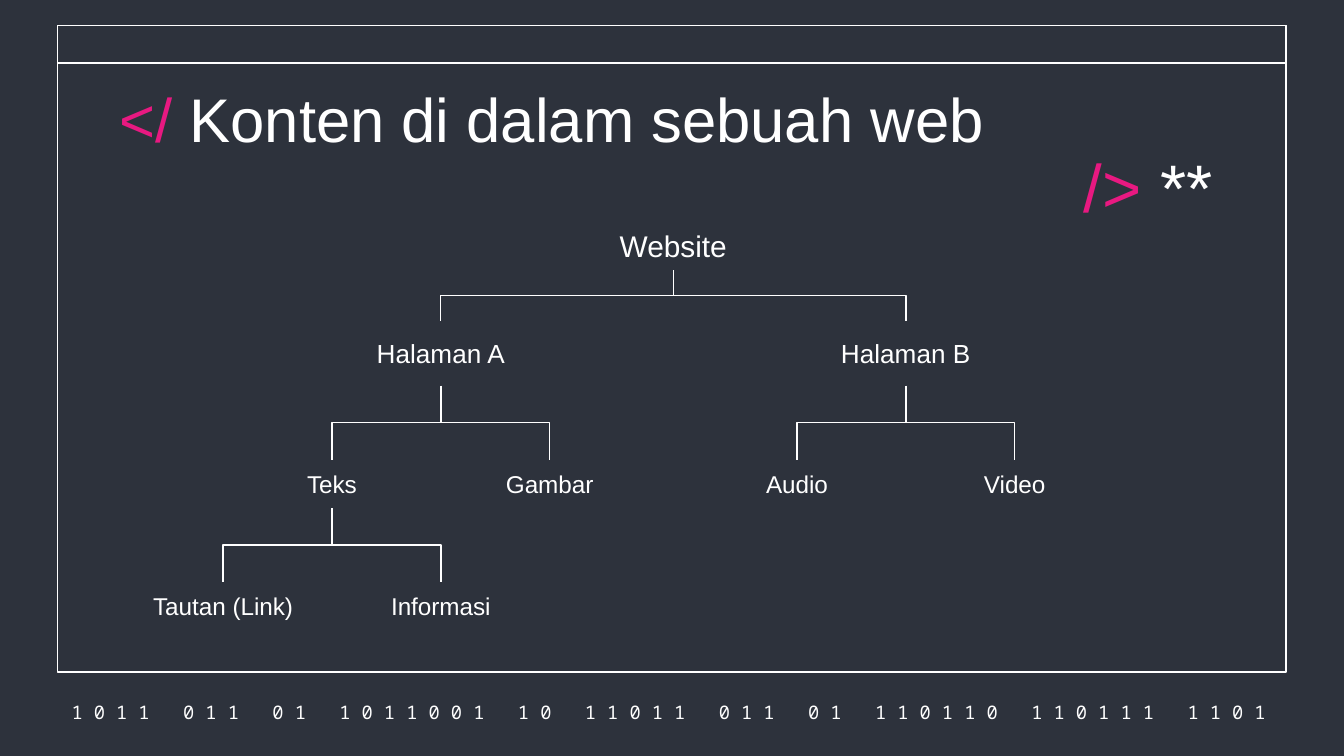
from dataclasses import dataclass

from lxml import etree
from pptx import Presentation
from pptx.dml.color import RGBColor
from pptx.enum.shapes import MSO_CONNECTOR, MSO_SHAPE
from pptx.enum.text import MSO_ANCHOR, PP_ALIGN
from pptx.oxml.ns import qn
from pptx.util import Inches, Pt

ELBOW = MSO_CONNECTOR.ELBOW
RECT = MSO_SHAPE.RECTANGLE
ROUND = MSO_SHAPE.ROUNDED_RECTANGLE
TOP, MIDDLE = MSO_ANCHOR.TOP, MSO_ANCHOR.MIDDLE
LEFT, CENTER = PP_ALIGN.LEFT, PP_ALIGN.CENTER


@dataclass(frozen=True)
class Theme:
    back: RGBColor = RGBColor(0x2D, 0x32, 0x3C)
    white: RGBColor = RGBColor(0xFF, 0xFF, 0xFF)
    pink: RGBColor = RGBColor(0xE8, 0x19, 0x81)
    font: str = "Arial"
    mono: str = "Noto Sans Mono"
    title: int = 33
    close: int = 36
    code: int = 10
    nodes: tuple = (16, 14, 13, 13)
    line: float = 0.75


THEME = Theme()

LEVELS = (
    (0, 1.06, 0.36, 0),
    (0.74, 2.56, 0.48, 1.73),
    (1.77, 1.47, 0.36, 0.81),
    (2.68, 1.47, 0.36, 0.81),
)

TREE = ("Website", (
    ("Halaman A", (
        ("Teks", (("Tautan (Link)", ()), ("Informasi", ()))),
        ("Gambar", ()),
    )),
    ("Halaman B", (("Audio", ()), ("Video", ()))),
))

BITS = "1011 011 01 1011001 10 11011 011 01 110110 110111 1101"


def place(box):
    return [Inches(v) for v in box]


def write(shape, runs, size, align=CENTER, anchor=MIDDLE, font=THEME.font):
    frame = shape.text_frame
    frame.word_wrap = True
    frame.vertical_anchor = anchor
    frame.margin_left = frame.margin_right = Inches(0.1)
    frame.margin_top = frame.margin_bottom = Inches(0.1)
    para = frame.paragraphs[0]
    para.alignment = align
    for text, color in runs:
        run = para.add_run()
        run.text = text
        run.font.name = font
        run.font.size = Pt(size)
        run.font.color.rgb = color
    return para


def add_frame(slide, box):
    left, top, width, height = box
    for tall in (height, 0.28):
        pane = slide.shapes.add_shape(RECT, *place((left, top, width, tall)))
        pane.shadow.inherit = False
        pane.fill.solid()
        pane.fill.fore_color.rgb = THEME.back
        pane.line.color.rgb = THEME.white
        pane.line.width = Pt(THEME.line)


def add_title(slide, box):
    left, top, width, height = box
    head = slide.shapes.add_textbox(*place((left, top, width, 0.63)))
    runs = (("</ ", THEME.pink), ("Konten di dalam sebuah web", THEME.white))
    write(head, runs, THEME.title, LEFT, TOP)
    tail_box = (left + width - 1.34, top + height - 0.7, 1.33, 0.7)
    tail = slide.shapes.add_textbox(*place(tail_box))
    runs = (("/>", THEME.pink), (" **", THEME.white))
    write(tail, runs, THEME.close, CENTER, TOP).line_spacing = 0.9


def add_code(slide, box):
    strip = slide.shapes.add_textbox(*place(box))
    text = "   ".join(" ".join(group) for group in BITS.split()) + " "
    write(strip, ((text, THEME.white),), THEME.code, font=THEME.mono)


def add_link(slide, start, end):
    (x1, y1), (x2, y2) = start, end
    mid_x, mid_y = (x1 + x2) / 2, (y1 + y2) / 2
    half_w = (y2 - y1) / 2 * (1 if x2 > x1 else -1)
    half_h = abs(x2 - x1) / 2
    ends = (mid_x + half_w, mid_y - half_h, mid_x - half_w, mid_y + half_h)
    link = slide.shapes.add_connector(ELBOW, *place(ends))
    link.line.color.rgb = THEME.white
    link.line.width = Pt(THEME.line)
    props = link._element.spPr
    props.find(qn("a:xfrm")).set("rot", str(270 * 60000))
    etree.SubElement(props, qn("a:effectLst"))


def add_node(slide, node, mid, base, level=0):
    name, kids = node
    drop, width, height, _ = LEVELS[level]
    top = base + drop
    box = (mid - width / 2, top, width, height)
    label = slide.shapes.add_shape(ROUND, *place(box))
    label.adjustments[0] = 0
    label.shadow.inherit = False
    label.fill.background()
    label.line.fill.background()
    write(label, ((name, THEME.white),), THEME.nodes[level])
    for side, kid in zip((-1, 1), kids):
        next_drop, _, _, spread = LEVELS[level + 1]
        kid_mid = mid + side * spread
        add_link(slide, (mid, top + height), (kid_mid, base + next_drop))
        add_node(slide, kid, kid_mid, base, level + 1)


def add_tree(slide, box):
    left, top, width, _ = box
    add_node(slide, TREE, left + width / 2, top)


def main():
    deck = Presentation()
    deck.slide_width = Inches(10)
    deck.slide_height = deck.slide_width * 9 // 16
    slide = deck.slides.add_slide(deck.slide_layouts[6])
    slide.background.fill.solid()
    slide.background.fill.fore_color.rgb = THEME.back
    add_frame(slide, (0.43, 0.19, 9.14, 4.81))
    add_code(slide, (0.38, 5.2, 9.27, 0.2))
    add_title(slide, (0.79, 0.5, 8.43, 1.25))
    add_tree(slide, (0.95, 1.65, 8.12, 3.04))
    deck.save("out.pptx")


if __name__ == "__main__":
    main()
